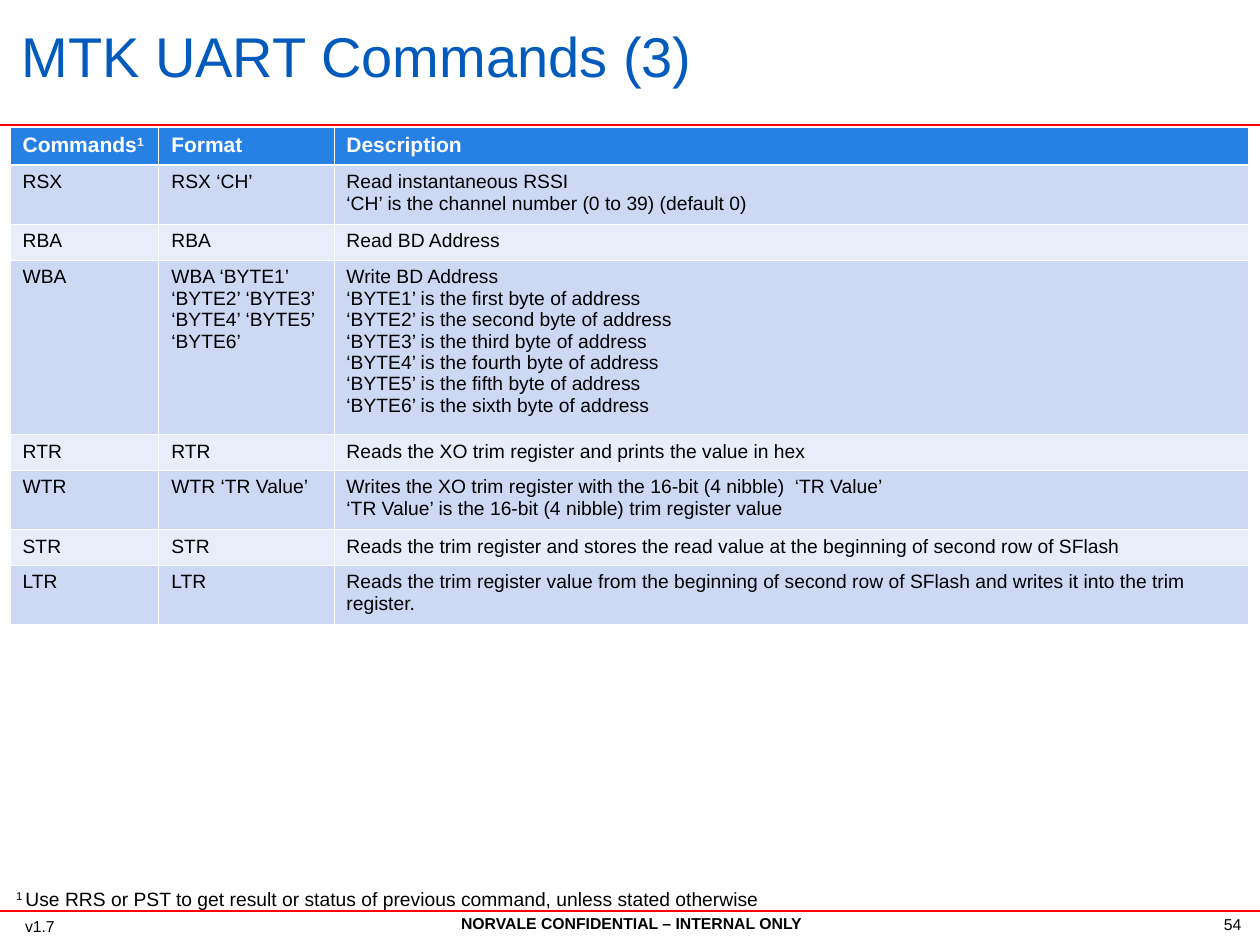
from lxml import etree
from pptx import Presentation
from pptx.dml.color import RGBColor
from pptx.enum.shapes import MSO_CONNECTOR
from pptx.enum.text import MSO_ANCHOR, MSO_AUTO_SIZE, PP_ALIGN
from pptx.oxml.ns import qn
from pptx.util import Inches, Pt

FONT = "Arial"
BLUE = RGBColor(0x02, 0x5B, 0xBC)
RED = RGBColor(0xFF, 0x00, 0x00)
BLACK = RGBColor(0x00, 0x00, 0x00)
WHITE = RGBColor(0xFF, 0xFF, 0xFF)
HEADER_FILL = RGBColor(0x27, 0x81, 0xE5)
DARK_BAND = RGBColor(0xCD, 0xD8, 0xF5)
LIGHT_BAND = RGBColor(0xE8, 0xED, 0xFA)

THIN, THICK = 0.45, 1.47
COLUMN_WIDTHS = [1.18, 1.39, 7.26]
ROW_HEIGHTS = [0.3, 0.47, 0.28, 1.38, 0.28, 0.47, 0.28, 0.47]
ORDINALS = ["first", "second", "third", "fourth", "fifth", "sixth"]
BYTE_LINES = [f"‘BYTE{number}’ is the {ordinal} byte of address"
              for number, ordinal in enumerate(ORDINALS, 1)]
COMMANDS = [
    ("Commands", "Format", "Description"),
    ("RSX", "RSX ‘CH’",
     "Read instantaneous RSSI\n‘CH’ is the channel number (0 to 39) (default 0)"),
    ("RBA", "RBA", "Read BD Address"),
    ("WBA", "WBA ‘BYTE1’ ‘BYTE2’ ‘BYTE3’ ‘BYTE4’ ‘BYTE5’ ‘BYTE6’",
     "\n".join(["Write BD Address"] + BYTE_LINES)),
    ("RTR", "RTR", "Reads the XO trim register and prints the value in hex"),
    ("WTR", "WTR ‘TR Value’",
     "Writes the XO trim register with the 16-bit (4 nibble)  ‘TR Value’\n"
     "‘TR Value’ is the 16-bit (4 nibble) trim register value"),
    ("STR", "STR", "Reads the trim register and stores the read value "
     "at the beginning of second row of SFlash"),
    ("LTR", "LTR", "Reads the trim register value from the beginning of second row "
     "of SFlash and writes it into the trim register."),
]


def format_text(frame, size, color, bold=False, align=PP_ALIGN.LEFT):
    for paragraph in frame.paragraphs:
        paragraph.alignment = align
        for span in paragraph.runs:
            span.font.name = FONT
            span.font.size = Pt(size)
            span.font.bold = bold
            span.font.color.rgb = color


def raise_span(span):
    span._r.get_or_add_rPr().set("baseline", "30000")


def add_title(page, text):
    title = page.shapes.title
    title.left, title.top = Inches(0.07), Inches(0.23)
    title.width, title.height = Inches(8.51), Inches(0.52)
    frame = title.text_frame
    frame.text = text
    frame.auto_size = MSO_AUTO_SIZE.NONE
    frame.vertical_anchor = MSO_ANCHOR.MIDDLE
    frame.paragraphs[0].line_spacing = 0.79
    format_text(frame, 32, BLUE)


def add_text(page, text, left, top, width, height, size=9, bold=False,
             align=PP_ALIGN.LEFT):
    box = page.shapes.add_textbox(Inches(left), Inches(top), Inches(width), Inches(height))
    frame = box.text_frame
    frame.word_wrap = True
    frame.text = text
    format_text(frame, size, BLACK, bold, align)
    return frame.paragraphs[0]


def add_rule(page, top):
    rule = page.shapes.add_connector(
        MSO_CONNECTOR.STRAIGHT, 0, Inches(top), Inches(10), Inches(top))
    rule.line.color.rgb = RED
    rule.line.width = Pt(1.25)
    etree.SubElement(rule._element.spPr, qn("a:effectLst"))


def set_borders(cell, top, bottom):
    properties = cell._tc.get_or_add_tcPr()
    for side, width in (("L", THIN), ("R", THIN), ("T", top), ("B", bottom)):
        line = etree.SubElement(properties, qn(f"a:ln{side}"), w=str(Pt(width)))
        fill = etree.SubElement(line, qn("a:solidFill"))
        etree.SubElement(fill, qn("a:srgbClr"), val=str(WHITE))


def fill_cell(cell, text, row):
    header = row == 0
    set_borders(cell, top=THICK if row == 1 else THIN, bottom=THICK if header else THIN)
    cell.fill.solid()
    cell.fill.fore_color.rgb = (
        HEADER_FILL if header else DARK_BAND if row % 2 else LIGHT_BAND)
    cell.text_frame.text = text
    format_text(cell.text_frame, 12 if header else 11, WHITE if header else BLACK, header)


def add_command_table(page):
    table = page.shapes.add_table(
        len(COMMANDS), len(COLUMN_WIDTHS), Inches(0.08), Inches(1.01),
        Inches(sum(COLUMN_WIDTHS)), Inches(sum(ROW_HEIGHTS))).table
    for column, width in zip(table.columns, COLUMN_WIDTHS):
        column.width = Inches(width)
    for row, (texts, height) in enumerate(zip(COMMANDS, ROW_HEIGHTS)):
        table.rows[row].height = Inches(height)
        for column, text in enumerate(texts):
            fill_cell(table.cell(row, column), text, row)

    # Footnote mark in the first heading
    heading = table.cell(0, 0).text_frame
    mark = heading.paragraphs[0].add_run()
    mark.text = "1"
    format_text(heading, 12, WHITE, bold=True)
    raise_span(mark)


def add_footnote(page):
    paragraph = add_text(page, "1 ", 0.03, 6.99, 9.54, 0.41, size=11)
    raise_span(paragraph.runs[0])
    note = paragraph.add_run()
    note.text = ("Use RRS or PST to get result or status of previous command, "
                 "unless stated otherwise")
    note.font.name = FONT
    note.font.size = Pt(11)
    note.font.color.rgb = BLACK


def main():
    deck = Presentation()
    deck.slide_width, deck.slide_height = Inches(10), Inches(7.5)
    page = deck.slides.add_slide(deck.slide_layouts[5])

    # Footer and rules
    add_text(page, "NORVALE CONFIDENTIAL – INTERNAL ONLY", 2.45, 7.2, 5.12, 0.25,
             bold=True, align=PP_ALIGN.CENTER)
    add_text(page, "54", 9.16, 7.21, 0.79, 0.25, align=PP_ALIGN.RIGHT)
    add_text(page, "v1.7", 0.1, 7.23, 0.79, 0.25)
    for top in (0.99, 7.23):
        add_rule(page, top)

    # Content
    add_title(page, "MTK UART Commands (3)")
    add_command_table(page)
    add_footnote(page)

    deck.save("out.pptx")


if __name__ == "__main__":
    main()
